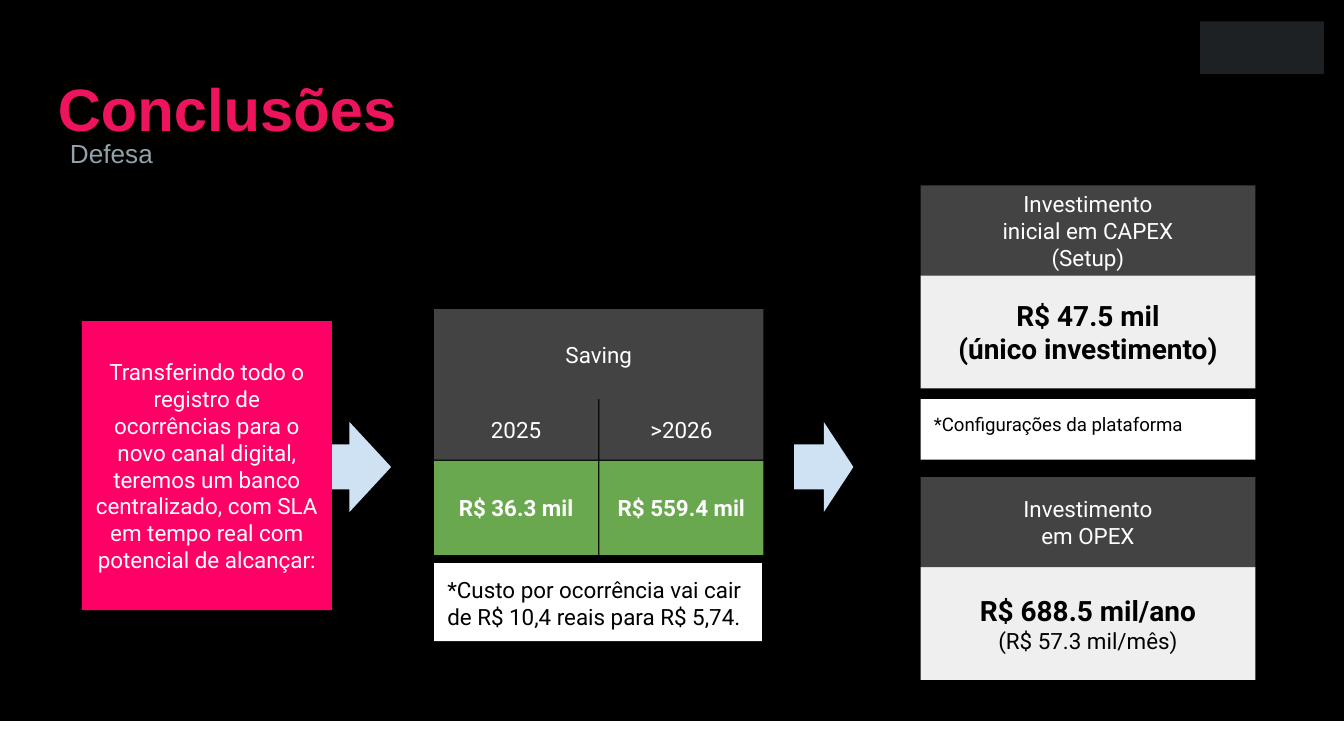
from pptx import Presentation
from pptx.dml.color import RGBColor
from pptx.enum.shapes import MSO_SHAPE
from pptx.enum.text import MSO_ANCHOR, MSO_AUTO_SIZE, PP_ALIGN
from pptx.util import Inches, Pt

RECTANGLE, ARROW = MSO_SHAPE.RECTANGLE, MSO_SHAPE.RIGHT_ARROW
LEFT, CENTER = PP_ALIGN.LEFT, PP_ALIGN.CENTER
TOP, MIDDLE = MSO_ANCHOR.TOP, MSO_ANCHOR.MIDDLE
NO_AUTOFIT = MSO_AUTO_SIZE.NONE

COLORS = {
    "background": "000000", "badge": "1E2123", "title": "ED145B",
    "subtitle": "93A2A9", "white": "FFFFFF", "black": "000000",
    "arrow": "CFE2F3", "pink": "FF0066", "green": "6AA84F",
    "header": "434343", "panel": "EFEFEF",
}


def color(name):
    return RGBColor.from_string(COLORS[name])


def write_text(frame, lines, size=12, ink="white", bold=False, font="Roboto",
               align=CENTER, anchor=MIDDLE, insets=(0.1, 0.1), spacing=1.0):
    """Write lines; a line is text or a (text, size, bold) tuple."""
    frame.word_wrap = True
    frame.auto_size = NO_AUTOFIT
    frame.vertical_anchor = anchor
    frame.margin_left = frame.margin_right = Inches(insets[0])
    frame.margin_top = frame.margin_bottom = Inches(insets[1])
    for index, line in enumerate(lines):
        text, line_size, line_bold = (line, size, bold) if isinstance(line, str) else line
        paragraph = frame.paragraphs[0] if index == 0 else frame.add_paragraph()
        paragraph.alignment = align
        paragraph.line_spacing = spacing
        paragraph.space_before = Pt(0)
        run = paragraph.add_run()
        run.text = text
        run.font.name = font
        run.font.size = Pt(line_size)
        run.font.bold = line_bold
        run.font.color.rgb = color(ink)


class SlideBuilder:
    def __init__(self, presentation):
        self.slide = presentation.slides.add_slide(presentation.slide_layouts[0])
        fill = self.slide.background.fill
        fill.solid()
        fill.fore_color.rgb = color("background")

    def placeholder(self, index, box, text, **style):
        shape = self.slide.placeholders[index]
        shape.left, shape.top, shape.width, shape.height = map(Inches, box)
        write_text(shape.text_frame, [text], font="Arial", align=LEFT, **style)

    def shape(self, box, fill, kind=RECTANGLE, outline=None):
        shape = self.slide.shapes.add_shape(kind, *map(Inches, box))
        shape.shadow.inherit = False
        shape.fill.solid()
        shape.fill.fore_color.rgb = color(fill)
        if outline:
            shape.line.color.rgb = color(outline)
            shape.line.width = Pt(0.75)
        else:
            shape.line.fill.background()
        return shape

    def box(self, box, fill, *lines, **style):
        write_text(self.shape(box, fill).text_frame, lines, **style)

    def note(self, box, text, size):
        self.box(box, "white", text, size=size, ink="black", align=LEFT, anchor=TOP)

    def investment(self, top, heading, amount):
        left, width, header_height = 6.85, 2.49, 0.67
        self.box((left, top + header_height, width, 0.84), "panel", *amount,
                 size=15, ink="black", bold=True)
        self.box((left, top, width, header_height), "header", *heading)


def main():
    presentation = Presentation()
    presentation.slide_width = Inches(10)
    presentation.slide_height = Inches(10) * 9 // 16
    builder = SlideBuilder(presentation)

    # Heading, corner badge and footer band
    builder.placeholder(0, (0.36, 0.31, 6.26, 0.71), "Conclusões", size=32,
                        ink="title", bold=True, insets=(0.07, 0.04), spacing=1.5)
    builder.placeholder(1, (0.42, 0.97, 9.43, 0.34), "Defesa", size=14,
                        ink="subtitle", anchor=TOP, insets=(0.1, 0.05))
    builder.shape((8.93, 0.16, 0.92, 0.39), "badge")
    builder.shape((-0.63, 5.37, 11.63, 0.77), "white", outline="white")

    # Arrows between the three stages
    for left, width in ((2.29, 0.62), (5.91, 0.44)):
        builder.shape((left, 3.14, width, 0.67), "arrow", ARROW)

    # Premise
    builder.box((0.61, 2.39, 1.86, 2.15), "pink",
                "Transferindo todo o registro de ocorrências para o novo canal "
                "digital, teremos um banco centralizado, com SLA em tempo real "
                "com potencial de alcançar:")

    # Savings by year
    left, column_width, column_step = 3.23, 1.22, 1.23
    builder.box((left, 2.3, 2.45, 0.67), "header", "Saving")
    savings = (("2025", "R$ 36.3 mil"), (">2026", "R$ 559.4 mil"))
    for column, (year, amount) in enumerate(savings):
        column_left = left + column * column_step
        builder.box((column_left, 2.97, column_width, 0.45), "header", year)
        builder.box((column_left, 3.43, column_width, 0.7), "green", amount, bold=True)
    builder.note((left, 4.19, 2.44, 0.58),
                 "*Custo por ocorrência vai cair de R$ 10,4 reais para R$ 5,74.", 12)

    # Investments
    builder.investment(1.38, ("Investimento", "inicial em CAPEX", "(Setup)"),
                       ("R$ 47.5 mil", "(único investimento)"))
    builder.note((6.85, 2.97, 2.49, 0.45), "*Configurações da plataforma", 10)
    builder.investment(3.55, ("Investimento", "em OPEX"),
                       ("R$ 688.5 mil/ano", ("(R$ 57.3 mil/mês)", 12, False)))

    presentation.save("out.pptx")


if __name__ == "__main__":
    main()
